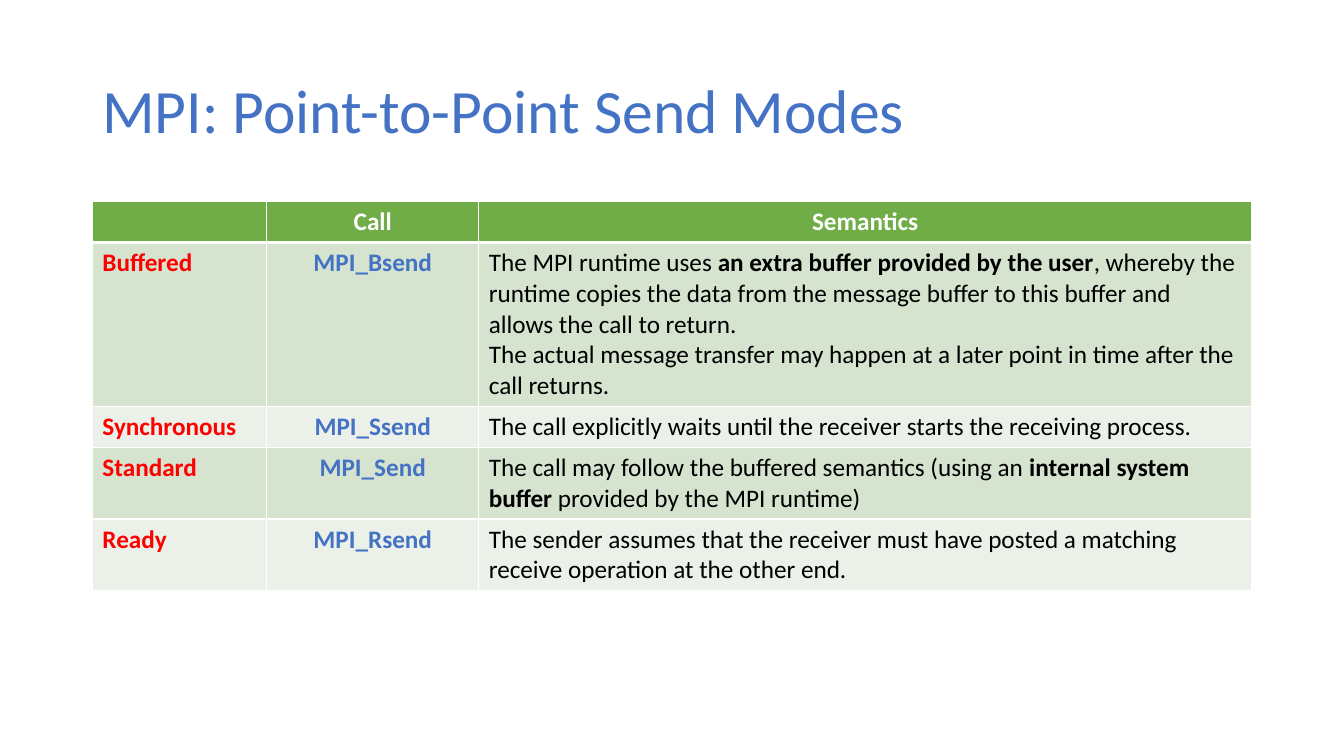
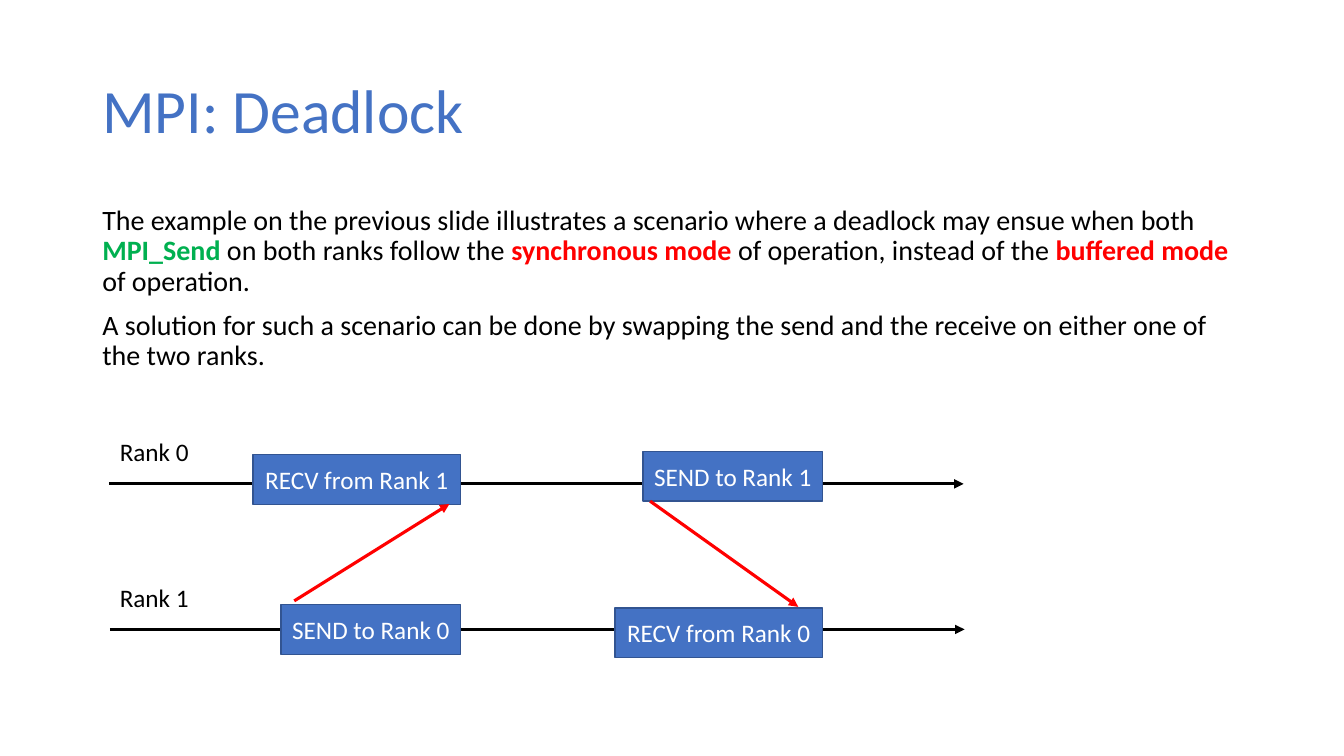
from lxml import etree
from pptx import Presentation
from pptx.dml.color import RGBColor
from pptx.enum import shapes, text
from pptx.oxml import ns
from pptx.util import Pt

BLUE = RGBColor(0x44, 0x72, 0xC4)
NAVY = RGBColor(0x32, 0x54, 0x91)
GREEN = RGBColor(0x70, 0xAD, 0x47)
LEAF = RGBColor(0x00, 0xB0, 0x50)
SAGE = RGBColor(0xD5, 0xE3, 0xCF)
PALE = RGBColor(0xEB, 0xF1, 0xE9)
RED = RGBColor(0xFF, 0x00, 0x00)
BLACK = RGBColor(0x00, 0x00, 0x00)
WHITE = RGBColor(0xFF, 0xFF, 0xFF)

FONT = "Calibri"
LEFT, WIDTH, TOP = 66, 828, 144
MID = text.PP_ALIGN.CENTER

HEADS = ["", "Call", "Semantics"]
COLS = [124.5, 151.5, 552]
MODES = [
    ("Buffered", "MPI_Bsend", 5, [
        ["The MPI runtime uses ", ("an extra buffer provided by the user", BLACK),
         ", whereby the runtime copies the data from the message buffer to this "
         "buffer and allows the call to return."],
        ["The actual message transfer may happen at a later point in time after "
         "the call returns."]]),
    ("Synchronous", "MPI_Ssend", 1, [
        ["The call explicitly waits until the receiver starts the receiving process."]]),
    ("Standard", "MPI_Send", 2, [
        ["The call may follow the buffered semantics (using an ",
         ("internal system buffer", BLACK), " provided by the MPI runtime)"]]),
    ("Ready", "MPI_Rsend", 2, [
        ["The sender assumes that the receiver must have posted a matching "
         "receive operation at the other end."]]),
]

STORY = [
    ["The example on the previous slide illustrates a scenario where a deadlock "
     "may ensue when both ", ("MPI_Send ", LEAF), "on both ranks follow the ",
     ("synchronous mode ", RED), "of operation, instead of the ",
     ("buffered mode ", RED), "of operation."],
    ["A solution for such a scenario can be done by swapping the send and the "
     "receive on either one of the two ranks."],
]
RANKS = [("Rank 0", 77.8, 345.6), ("Rank 1", 78.5, 449.6)]
SPAN = 610.5
SEND, RECV, TALL = 128.2, 148.3, 35.5
CALLS = [
    ("SEND to Rank 1", 587.5, 322.5, SEND),
    ("SEND to Rank 0", 329, 432, SEND),
    ("RECV from Rank 1", 329, 324.7, RECV),
    ("RECV from Rank 0", 587.5, 434.2, RECV),
]
SENDS = [(210.2, 429.2, 321, 360), (464.4, 358, 570.2, 433.5)]


def write(frame, paras, size=18, color=BLACK, bold=False, align=None,
          line=None, before=None):
    for i, runs in enumerate(paras):
        para = frame.paragraphs[0] if i == 0 else frame.add_paragraph()
        para.alignment = align
        para.line_spacing = line
        para.space_before = None if before is None else Pt(before)
        for part in runs:
            words, tint = (part, None) if isinstance(part, str) else part
            run = para.add_run()
            run.text = words
            run.font.name = FONT
            run.font.size = Pt(size)
            run.font.bold = bold or tint is not None
            run.font.color.rgb = tint or color


def label(slide, x, y, w, h, paras, wrap=True, anchor=text.MSO_ANCHOR.TOP, **style):
    box = slide.shapes.add_textbox(Pt(x), Pt(y), Pt(w), Pt(h))
    box.text_frame.word_wrap = wrap
    box.text_frame.vertical_anchor = anchor
    write(box.text_frame, paras, **style)


def start(deck, title):
    slide = deck.slides.add_slide(deck.slide_layouts[6])
    label(slide, LEFT, 28.75, WIDTH, 104.4, [[title]], size=44, color=BLUE,
          line=0.9, anchor=text.MSO_ANCHOR.MIDDLE)
    return slide


def edge(cell, **sides):
    props = cell._tc.get_or_add_tcPr()
    for side, width in sides.items():
        ln = etree.SubElement(props, ns.qn("a:ln" + side), w=str(Pt(width)))
        fill = etree.SubElement(ln, ns.qn("a:solidFill"))
        etree.SubElement(fill, ns.qn("a:srgbClr"), val=str(WHITE))


def arrow(slide, x1, y1, x2, y2, color):
    wire = slide.shapes.add_connector(
        shapes.MSO_CONNECTOR.STRAIGHT, Pt(x1), Pt(y1), Pt(x2), Pt(y2))
    wire.line.color.rgb = color
    wire.line.width = Pt(2.25)
    etree.SubElement(wire.line._get_or_add_ln(), ns.qn("a:tailEnd"), type="triangle")
    etree.SubElement(wire._element.spPr, ns.qn("a:effectLst"))


def block(slide, words, right, y, w):
    box = slide.shapes.add_shape(
        shapes.MSO_SHAPE.RECTANGLE, Pt(right - w), Pt(y), Pt(w), Pt(TALL))
    box.shadow.inherit = False
    box.fill.solid()
    box.fill.fore_color.rgb = BLUE
    box.line.color.rgb = NAVY
    box.line.width = Pt(1)
    box.text_frame.word_wrap = False
    box.text_frame.vertical_anchor = text.MSO_ANCHOR.MIDDLE
    write(box.text_frame, [[words]], color=WHITE, align=MID)


def modes(deck):
    slide = start(deck, "MPI: Point-to-Point Send Modes")
    rows = [(1, GREEN, [([[h]] if h else [], WHITE, True, MID) for h in HEADS])]
    for i, (name, call, lines, sense) in enumerate(MODES):
        rows.append((lines, PALE if i % 2 else SAGE, [
            ([[name]], RED, True, None),
            ([[call]], BLUE, True, MID),
            (sense, BLACK, False, None)]))
    tall = [7.2 + 22 * row[0] for row in rows]
    grid = slide.shapes.add_table(len(rows), len(COLS), Pt(LEFT), Pt(TOP),
                                  Pt(WIDTH), Pt(sum(tall))).table
    for col, w in zip(grid.columns, COLS):
        col.width = Pt(w)
    for r, (_, fill, cells) in enumerate(rows):
        grid.rows[r].height = Pt(tall[r])
        for c, (paras, color, bold, align) in enumerate(cells):
            cell = grid.cell(r, c)
            edge(cell, L=1, R=1, T=3 if r == 1 else 1, B=1 if r else 3)
            cell.fill.solid()
            cell.fill.fore_color.rgb = fill
            write(cell.text_frame, paras, color=color, bold=bold, align=align)


def lock(deck):
    slide = start(deck, "MPI: Deadlock")
    label(slide, LEFT, TOP, WIDTH, 342.7, STORY, size=20, line=0.9, before=10)
    for name, x, y in RANKS:
        arrow(slide, x, y, x + SPAN, y, BLACK)
        label(slide, 78.5, y - 37.2, 64, 29, [[name]], wrap=False)
    for call in CALLS:
        block(slide, *call)
    for ends in SENDS:
        arrow(slide, *ends, RED)


def main():
    deck = Presentation()
    deck.slide_width, deck.slide_height = Pt(960), Pt(540)
    modes(deck)
    lock(deck)
    deck.save("out.pptx")


if __name__ == "__main__":
    main()
